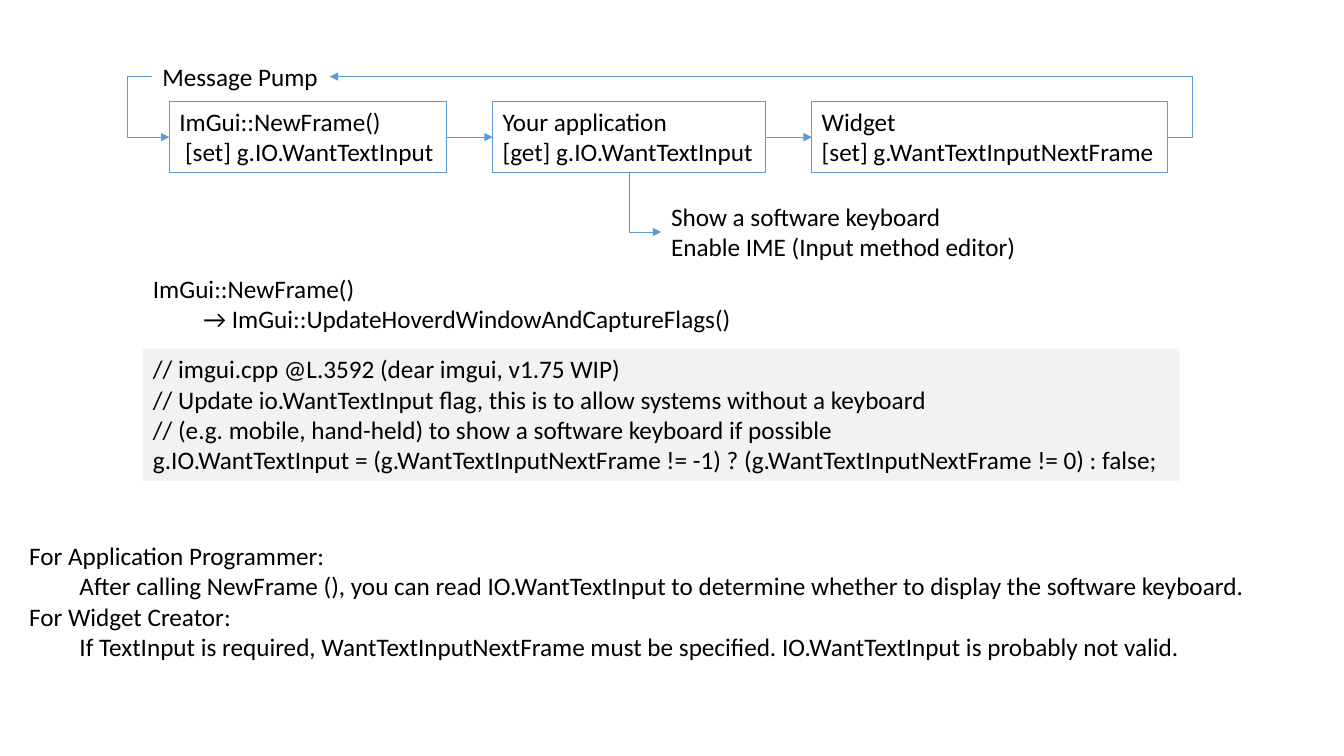
import lxml.etree
import pptx
import pptx.dml.color
import pptx.enum.shapes
import pptx.enum.text
import pptx.oxml.ns
import pptx.util

COLORS = {"text": "000000", "line": "5B9BD5", "code": "F2F2F2"}


class FlowSlide:
    """Draw text, boxes and arrows on one slide in a shared style."""

    def __init__(self, slide, font="Calibri", size=18):
        self.slide = slide
        self.font = font
        self.size = size

    def color(self, name):
        return pptx.dml.color.RGBColor.from_string(COLORS[name])

    def set_lines(self, shape, lines):
        frame = shape.text_frame
        frame.word_wrap = False
        frame.vertical_anchor = pptx.enum.text.MSO_ANCHOR.TOP
        frame.text = "\n".join(lines)
        for paragraph in frame.paragraphs:
            paragraph.alignment = pptx.enum.text.PP_ALIGN.LEFT
            for run in paragraph.runs:
                run.font.name = self.font
                run.font.size = pptx.util.Pt(self.size)
                run.font.color.rgb = self.color("text")

    def text(self, left, top, width, height, lines):
        bounds = [pptx.util.Pt(value) for value in (left, top, width, height)]
        self.set_lines(self.slide.shapes.add_textbox(*bounds), lines)

    def box(self, left, top, width, height, lines, fill=None, line=None):
        bounds = [pptx.util.Pt(value) for value in (left, top, width, height)]
        shape = self.slide.shapes.add_shape(
            pptx.enum.shapes.MSO_SHAPE.RECTANGLE, *bounds)
        shape.shadow.inherit = False
        if fill:
            shape.fill.solid()
            shape.fill.fore_color.rgb = self.color(fill)
        else:
            shape.fill.background()
        if line:
            shape.line.color.rgb = self.color(line)
            shape.line.width = pptx.util.Pt(0.75)
        else:
            shape.line.fill.background()
        self.set_lines(shape, lines)
        return shape

    def connector(self, kind, start, end, arrow="tailEnd"):
        points = [pptx.util.Pt(value) for value in (*start, *end)]
        connector = self.slide.shapes.add_connector(kind, *points)
        connector.line.color.rgb = self.color("line")
        connector.line.width = pptx.util.Pt(0.5)
        qn = pptx.oxml.ns.qn
        properties = connector._element.spPr
        lxml.etree.SubElement(
            properties.find(qn("a:ln")), qn("a:" + arrow), type="triangle")
        lxml.etree.SubElement(properties, qn("a:effectLst"))
        return connector

    def arrow(self, source, target):
        connector = self.connector(
            pptx.enum.shapes.MSO_CONNECTOR.STRAIGHT, (0, 0), (0, 0))
        connector.begin_connect(source, 3)
        connector.end_connect(target, 1)

    def side_loop(self, start, end, bend_x):
        connector = self.connector(
            pptx.enum.shapes.MSO_CONNECTOR.ELBOW, start, end)
        ratio = (bend_x - start[0]) / (end[0] - start[0])
        geometry = connector._element.spPr.find(pptx.oxml.ns.qn("a:prstGeom"))
        guides = geometry.get_or_add_avLst()
        lxml.etree.SubElement(guides, pptx.oxml.ns.qn("a:gd"), name="adj1",
                              fmla=f"val {round(ratio * 100000)}")

    def corner(self, head, origin):
        connector = self.connector(
            pptx.enum.shapes.MSO_CONNECTOR.ELBOW, head, origin, "headEnd")
        geometry = connector._element.spPr.find(pptx.oxml.ns.qn("a:prstGeom"))
        geometry.set("prst", "bentConnector2")


def main():
    presentation = pptx.Presentation()
    presentation.slide_width = pptx.util.Pt(960)
    presentation.slide_height = pptx.util.Pt(540)
    flow = FlowSlide(presentation.slides.add_slide(presentation.slide_layouts[6]))

    flow.text(102.2, 191.5, 468, 50.9, [
        "ImGui::NewFrame()",
        "\t→ ImGui::UpdateHoverdWindowAndCaptureFlags()"])
    flow.box(102.2, 249.1, 740.2, 94.5, [
        "// imgui.cpp @L.3592 (dear imgui, v1.75 WIP)",
        "// Update io.WantTextInput flag, this is to allow systems without a keyboard",
        "// (e.g. mobile, hand-held) to show a software keyboard if possible",
        "g.IO.WantTextInput = (g.WantTextInputNextFrame != -1) ? "
        "(g.WantTextInputNextFrame != 0) : false;"], fill="code")

    first_left, top, height, gap = 121, 72.5, 50.9, 32.9
    middle, bottom = top + height / 2, top + height
    steps = [
        (198, ["ImGui::NewFrame()", " [set] g.IO.WantTextInput"]),
        (195.1, ["Your application", "[get] g.IO.WantTextInput"]),
        (254.2, ["Widget", "[set] g.WantTextInputNextFrame"])]
    boxes = []
    left = first_left
    for width, lines in steps:
        boxes.append(flow.box(left, top, width, height, lines, line="line"))
        left += width + gap
    for source, target in zip(boxes, boxes[1:]):
        flow.arrow(source, target)

    pump_left, pump_width, pump_middle, margin = 108.9, 126.7, 54.7, 18
    last_right = left - gap
    flow.side_loop((last_right, middle), (pump_left + pump_width, pump_middle),
                   last_right + margin)
    flow.side_loop((pump_left, pump_middle), (first_left, middle),
                   pump_left - margin)
    flow.text(pump_left, 40.2, pump_width, 29.1, ["Message Pump"])

    flow.text(472.3, 140.4, 263.5, 50.9, [
        "Show a software keyboard", "Enable IME (Input method editor)"])
    flow.corner((472.3, 165.8), (449.4, bottom))

    flow.text(13.7, 382.5, 929.5, 94.5, [
        "For Application Programmer:",
        "\tAfter calling NewFrame (), you can read IO.WantTextInput to determine "
        "whether to display the software keyboard.",
        "For Widget Creator:",
        "\tIf TextInput is required, WantTextInputNextFrame must be specified. "
        "IO.WantTextInput is probably not valid."])
    presentation.save("out.pptx")


if __name__ == "__main__":
    main()
